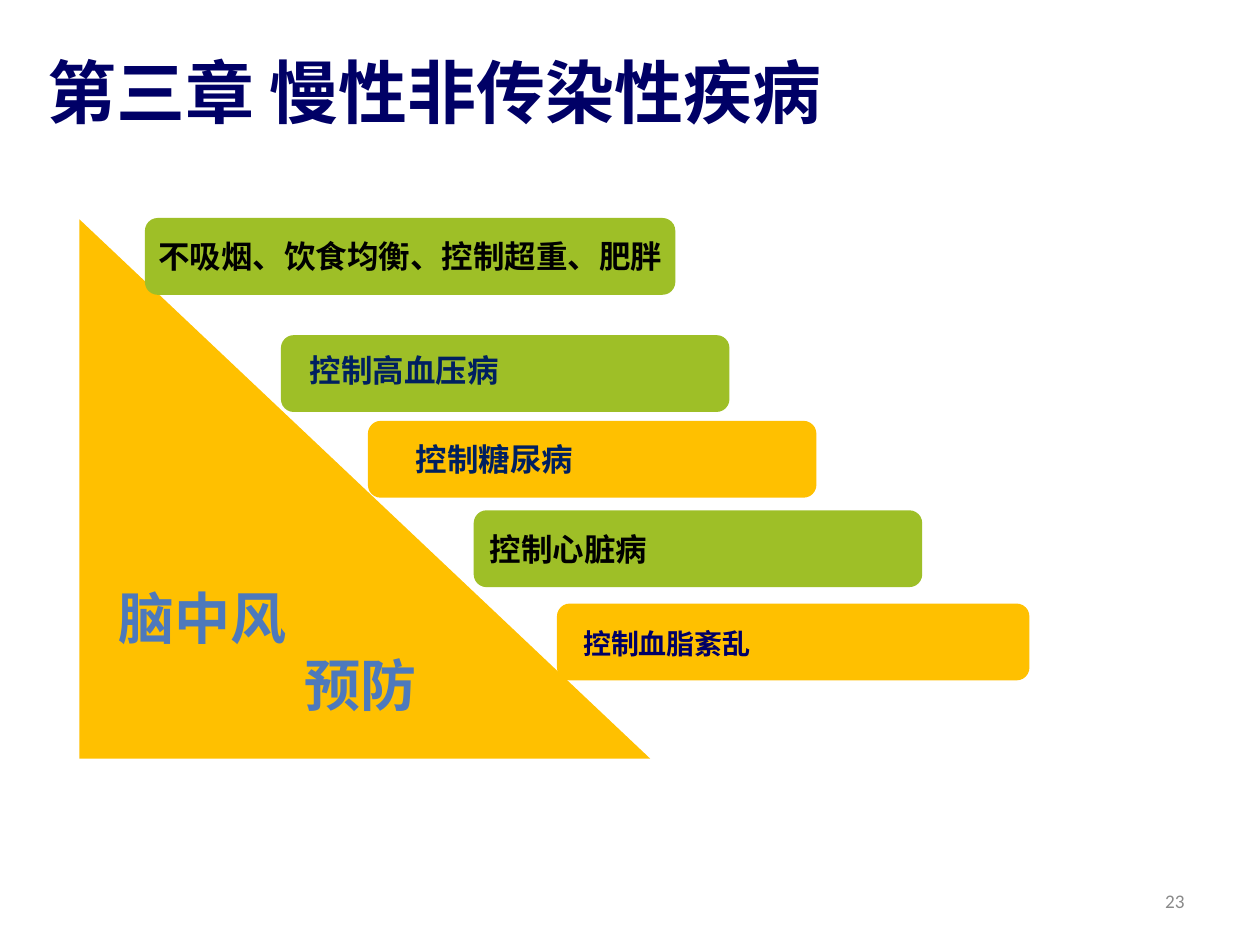
import pptx
import pptx.util
import pptx.dml.color
import pptx.enum.shapes
import pptx.enum.text
import pptx.oxml.ns
import lxml.etree

Inches, Pt = pptx.util.Inches, pptx.util.Pt
SHAPE = pptx.enum.shapes.MSO_SHAPE
ALIGN = pptx.enum.text.PP_ALIGN
ANCHOR = pptx.enum.text.MSO_ANCHOR

CJK = "Noto Sans CJK SC"
GREEN, AMBER = "9EBF27", "FFC000"
BLACK, NAVY, DEEP_BLUE, MID_BLUE, GREY = "000000", "000066", "002060", "4D79BC", "898989"
BAR_HEIGHT = 0.61


def color(value):
    return pptx.dml.color.RGBColor.from_string(value)


def add_run(p, text, size, value, font=CJK, bold=True):
    r = p.add_run()
    r.text = text
    r.font.size = Pt(size)
    r.font.bold = bold
    r.font.name = font
    r.font.color.rgb = color(value)
    ea = lxml.etree.SubElement(r.font._element, pptx.oxml.ns.qn("a:ea"))
    ea.set("typeface", CJK)


def add_filled(slide, kind, box, fill):
    sp = slide.shapes.add_shape(kind, *map(Inches, box))
    sp.shadow.inherit = False
    sp.fill.solid()
    sp.fill.fore_color.rgb = color(fill)
    sp.line.fill.background()
    return sp


def add_text_box(slide, box, anchor=ANCHOR.TOP):
    tf = slide.shapes.add_textbox(*map(Inches, box)).text_frame
    tf.word_wrap = True
    tf.vertical_anchor = anchor
    return tf


def add_line(slide, box, text, size, value, font=CJK, bold=True,
             align=ALIGN.LEFT, anchor=ANCHOR.TOP):
    p = add_text_box(slide, box, anchor).paragraphs[0]
    p.alignment = align
    add_run(p, text, size, value, font, bold)


def add_bar(slide, left, top, width, fill, text=None, align=ALIGN.LEFT):
    sp = add_filled(slide, SHAPE.ROUNDED_RECTANGLE, (left, top, width, BAR_HEIGHT), fill)
    if text:
        tf = sp.text_frame
        tf.word_wrap = align == ALIGN.LEFT
        tf.vertical_anchor = ANCHOR.MIDDLE
        p = tf.paragraphs[0]
        p.alignment = align
        add_run(p, text, 18, BLACK, "Arial")


def add_labelled_bar(slide, left, top, width, fill, text, offset, size, value):
    """Bar with its label in a text box, offset (x, y) from the bar's corner."""
    add_bar(slide, left, top, width, fill)
    dx, dy = offset
    add_line(slide, (left + dx, top + dy, width - dx, 0.4), text, size, value)


def add_prevention_steps(slide, left, top):
    """Triangle with the prevention measures stepping down its slope."""
    add_filled(slide, SHAPE.RIGHT_TRIANGLE, (left, top, 4.53, 4.28), AMBER)
    add_labelled_bar(slide, left + 1.6, top + 0.92, 3.56, GREEN,
                     "控制高血压病", (0.13, 0.08), 18, DEEP_BLUE)
    add_labelled_bar(slide, left + 2.29, top + 1.6, 3.56, AMBER,
                     "控制糖尿病", (0.28, 0.1), 18, DEEP_BLUE)
    add_bar(slide, left + 3.13, top + 2.31, 3.56, GREEN, "控制心脏病")
    add_labelled_bar(slide, left + 3.79, top + 3.05, 3.75, AMBER,
                     "控制血脂紊乱", (0.11, 0.13), 16, NAVY)
    add_bar(slide, left + 0.52, top - 0.01, 4.21, GREEN,
            "不吸烟、饮食均衡、控制超重、肥胖", ALIGN.CENTER)

    tf = add_text_box(slide, (left - 0.19, top + 2.84, 4.24, 1.18))
    for i, (text, indent) in enumerate((("脑中风", 0.4), ("预防", 1.88))):
        p = tf.add_paragraph() if i else tf.paragraphs[0]
        p._p.get_or_add_pPr().set("marL", str(Inches(indent)))
        add_run(p, text, 32, MID_BLUE)


def main():
    prs = pptx.Presentation()
    prs.slide_width, prs.slide_height = Inches(10), Inches(7.5)
    slide = prs.slides.add_slide(prs.slide_layouts[6])
    add_prevention_steps(slide, 0.63, 1.74)
    add_line(slide, (0.28, 0.22, 8.8, 1), "第三章 慢性非传染性疾病", 39.4, NAVY,
             anchor=ANCHOR.MIDDLE)
    add_line(slide, (7.17, 6.95, 2.33, 0.4), "23", 11, GREY, "Calibri", False,
             ALIGN.RIGHT, ANCHOR.MIDDLE)
    prs.save("out.pptx")


if __name__ == "__main__":
    main()
